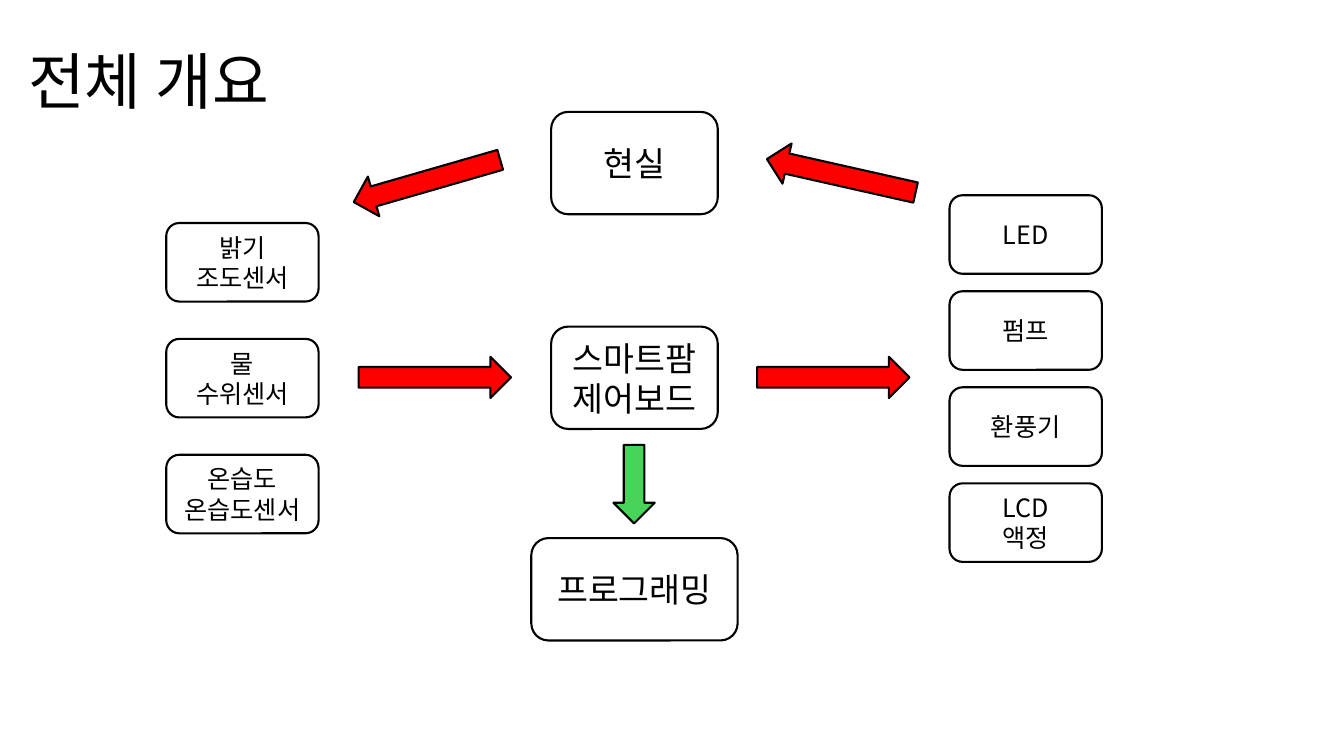
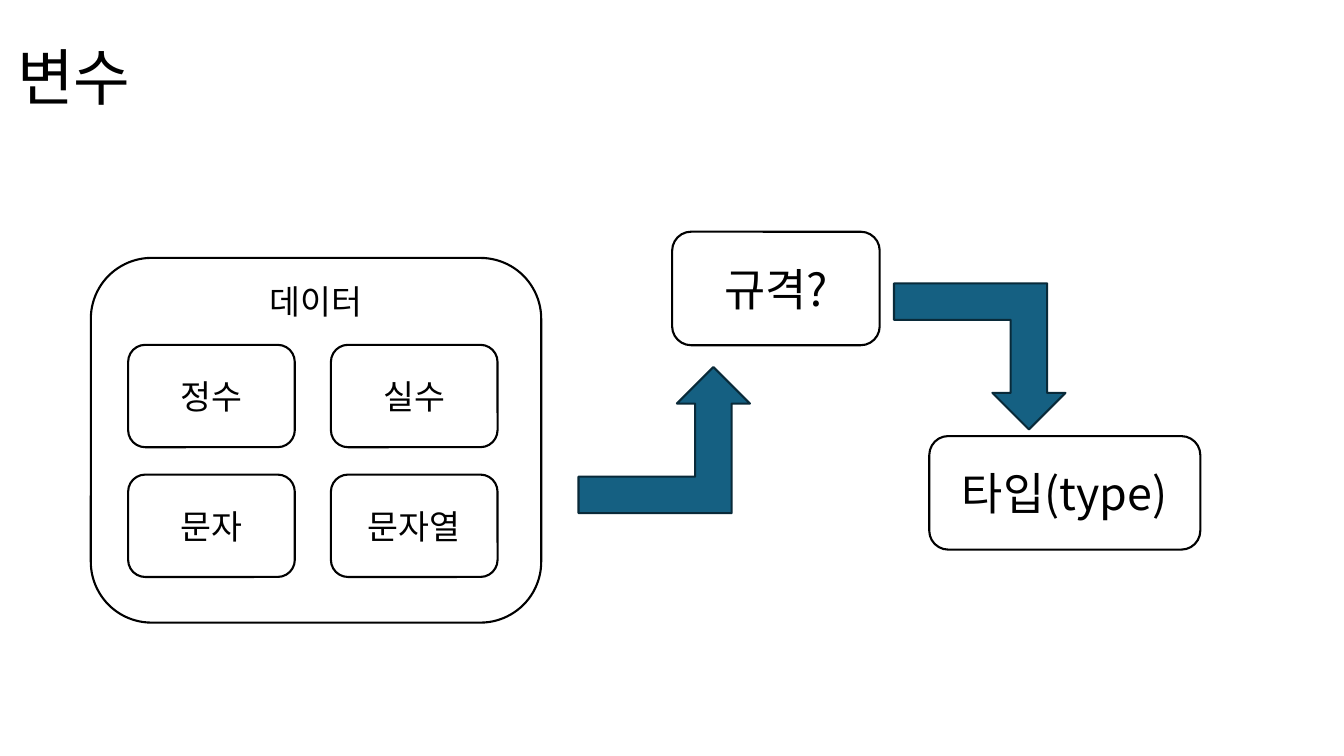
from lxml.etree import SubElement
from pptx import Presentation
from pptx.dml.color import RGBColor
from pptx.enum.shapes import MSO_SHAPE
from pptx.enum.text import MSO_ANCHOR, PP_ALIGN
from pptx.oxml.ns import qn
from pptx.util import Cm, Pt

FONT = "Noto Sans CJK KR"
HUES = {"ink": "000000", "paper": "FFFFFF", "red": "FF0000",
        "green": "47D45A", "blue": "156082", "navy": "092A39"}
TITLE = {"size": 44, "align": PP_ALIGN.LEFT, "space": 0.9}
NODE = (4.2, 2.58)
ITEM = (3.84, 1.98)
ARROW = (3.84, 1.04)
BEND = (4.32, 3.68)


def hue(name):
    return RGBColor.from_string(HUES[name])


def apply(target, values):
    for key, value in values.items():
        setattr(target, key, value)


def write(frame, text, size, align=PP_ALIGN.CENTER, space=None,
          anchor=MSO_ANCHOR.MIDDLE, wrap=True):
    frame.text = text
    apply(frame, {"word_wrap": wrap, "vertical_anchor": anchor})
    for para in frame.paragraphs:
        apply(para, {"alignment": align, "line_spacing": space})
        for run in para.runs:
            apply(run.font, {"name": FONT, "size": Pt(size)})
            run.font.color.rgb = hue("ink")
            east = SubElement(run._r.get_or_add_rPr(), qn("a:ea"))
            east.set("typeface", FONT)


def add_page(deck, text, left, top):
    page = deck.slides.add_slide(deck.slide_layouts[5])
    title = page.shapes.title
    apply(title, {"left": Cm(left), "top": Cm(top),
                  "width": Cm(29.21), "height": Cm(3.68)})
    write(title.text_frame, text, **TITLE)
    return page.shapes


def add_form(shapes, kind, left, top, size, fill, line="ink"):
    form = shapes.add_shape(kind, Cm(left), Cm(top), *map(Cm, size))
    form.shadow.inherit = False
    form.fill.solid()
    form.fill.fore_color.rgb = hue(fill)
    form.line.color.rgb = hue(line)
    form.line.width = Pt(1.5)
    return form


def add_box(shapes, text, left, top, size=NODE, points=24, **style):
    box = add_form(shapes, MSO_SHAPE.ROUNDED_RECTANGLE, left, top, size, "paper")
    write(box.text_frame, text, points, **style)


def add_stack(shapes, texts, left, top, step):
    group = shapes.add_group_shape().shapes
    for row, text in enumerate(texts):
        add_box(group, text, left, top + row * step, ITEM, 18, wrap=False)


def add_arrow(shapes, left, top, turn=0, size=ARROW, fill="red"):
    arrow = add_form(shapes, MSO_SHAPE.RIGHT_ARROW, left, top, size, fill)
    arrow.rotation = turn


def add_bend(shapes, left, top, down=False):
    bend = add_form(shapes, MSO_SHAPE.BENT_UP_ARROW, left, top, BEND, "blue", "navy")
    if down:
        bend.rotation = 180
        bend.element.spPr.xfrm.set("flipH", "1")


def draw_whole(deck):
    shapes = add_page(deck, "전체 개요", 0.46, 0.28)
    add_box(shapes, "현실", 13.89, 2.82)
    add_box(shapes, "스마트팜\n제어보드", 13.89, 8.23)
    add_box(shapes, "프로그래밍", 13.39, 13.56, (5.2, 2.58))
    add_stack(shapes, ("밝기\n조도센서", "물\n수위센서", "온습도\n온습도센서"),
              4.19, 5.62, 2.92)
    add_stack(shapes, ("LED", "펌프", "환풍기", "LCD\n액정"), 23.93, 4.92, 2.42)
    for left, top, turn in ((9.04, 8.99, 0), (19.08, 8.99, 0),
                            (8.84, 4.04, 163.9), (19.28, 3.91, 192.7)):
        add_arrow(shapes, left, top, turn)
    add_arrow(shapes, 14.99, 11.68, 90, (1.98, 1.04), "green")


def draw_types(deck):
    shapes = add_page(deck, "변수", 0.18, 0.2)
    add_box(shapes, "데이터", 2.29, 6.5, (11.35, 9.19), anchor=MSO_ANCHOR.TOP)
    for spot, text in enumerate(("정수", "실수", "문자", "문자열")):
        row, col = divmod(spot, 2)
        add_box(shapes, text, 3.23 + col * 5.11, 8.69 + row * 3.27)
    add_box(shapes, "규격?", 16.94, 5.84, (5.23, 2.86), 32)
    add_bend(shapes, 14.58, 9.25)
    add_bend(shapes, 22.53, 7.14, down=True)
    add_box(shapes, "타입(type)", 23.42, 10.99, (6.83, 2.86), 32)


def main():
    deck = Presentation()
    apply(deck, {"slide_width": Cm(33.87), "slide_height": Cm(19.05)})
    draw_whole(deck)
    draw_types(deck)
    deck.save("out.pptx")


if __name__ == "__main__":
    main()
